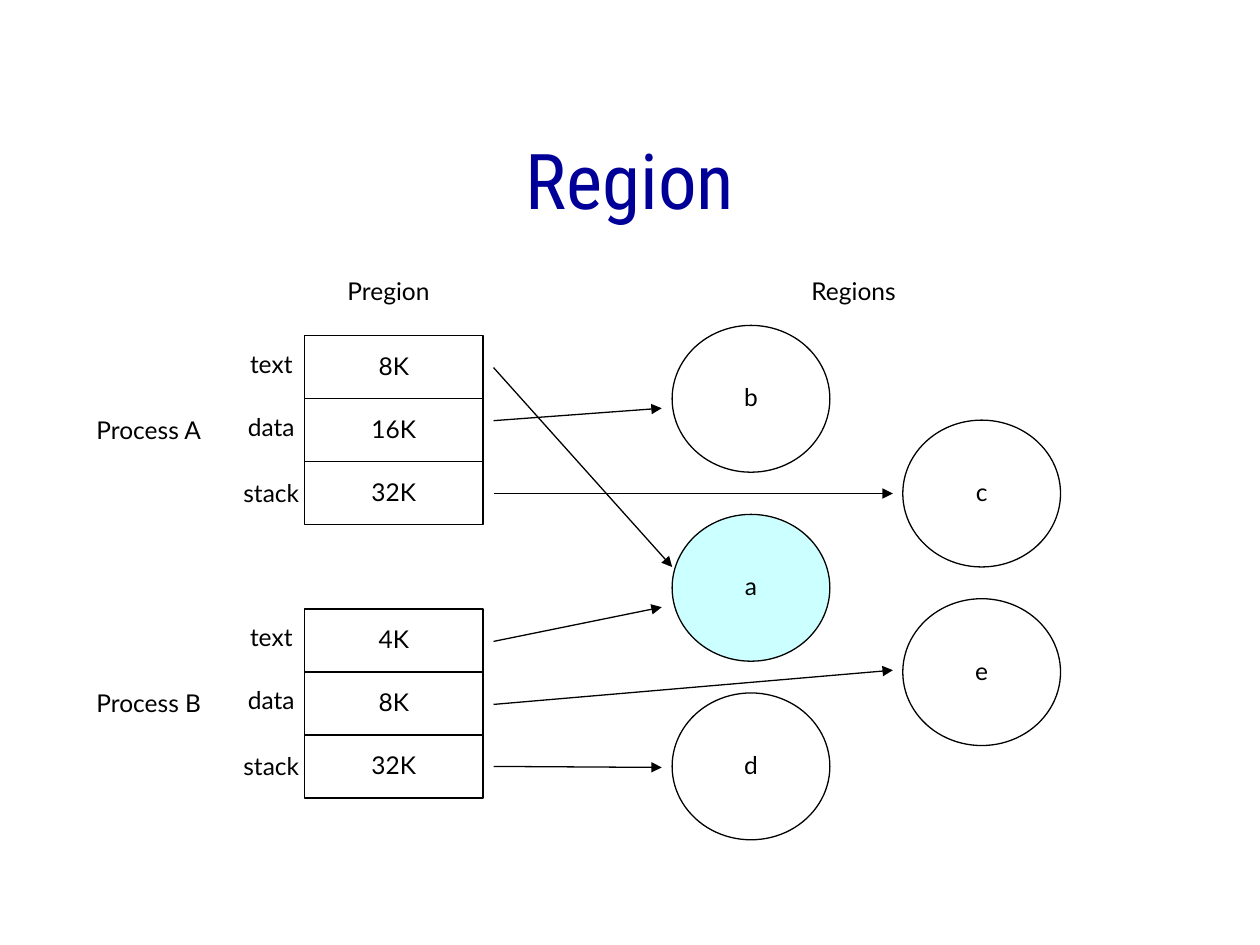
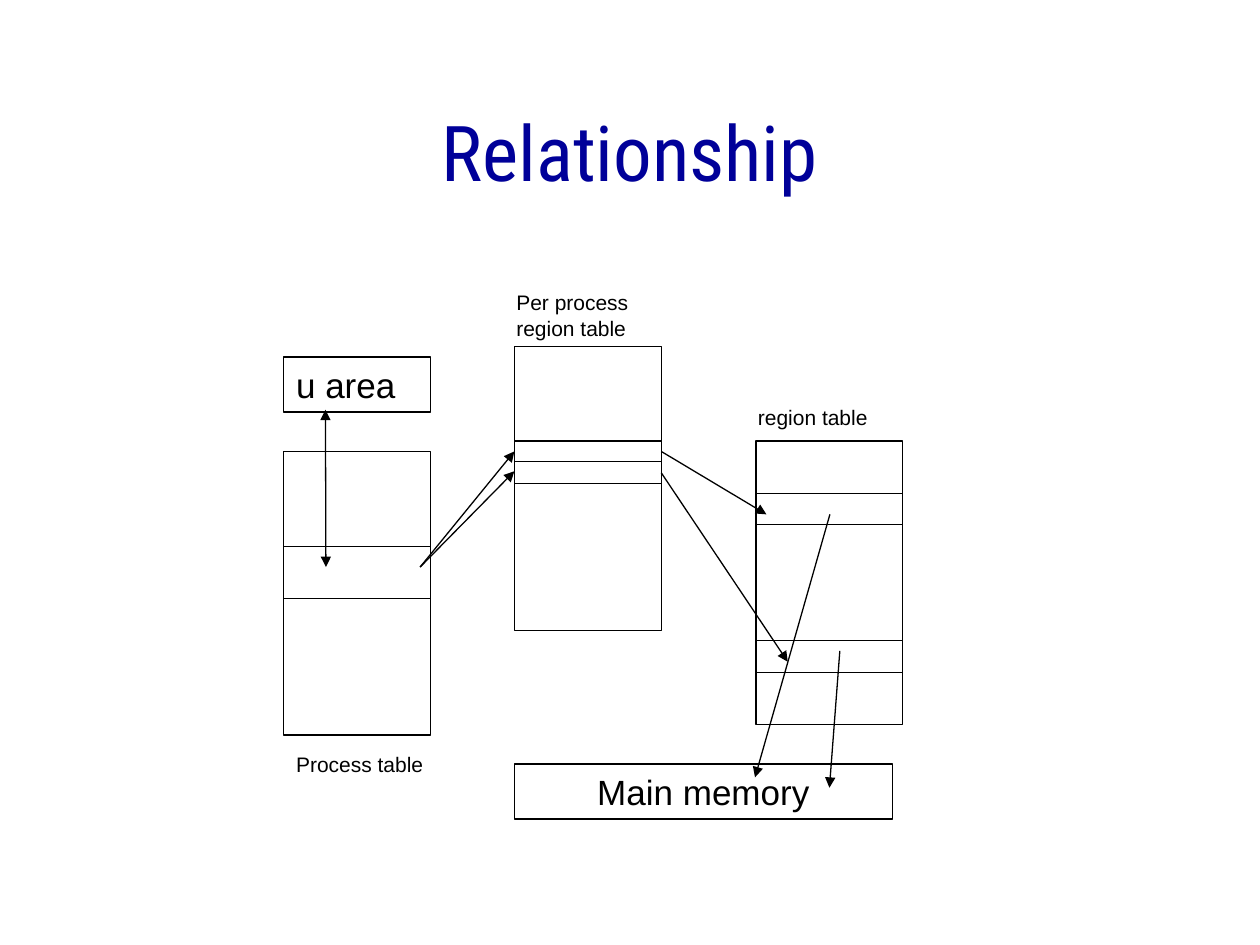
import lxml.etree
import pptx
import pptx.dml.color
import pptx.enum.shapes
import pptx.enum.text
import pptx.oxml.ns
import pptx.util

Cm = pptx.util.Cm
Pt = pptx.util.Pt
RGBColor = pptx.dml.color.RGBColor
SHAPE = pptx.enum.shapes.MSO_SHAPE
ALIGN = pptx.enum.text.PP_ALIGN
ANCHOR = pptx.enum.text.MSO_ANCHOR

BLACK = RGBColor(0x00, 0x00, 0x00)
WHITE = RGBColor(0xFF, 0xFF, 0xFF)
NAVY = RGBColor(0x00, 0x00, 0x99)
AQUA = RGBColor(0xCC, 0xFF, 0xFF)

# Text styles: font, paragraph and frame values
TITLE = {
    "font": {"name": "Roboto Condensed", "size": Pt(44)},
    "color": NAVY,
    "para": {"alignment": ALIGN.CENTER},
    "frame": {"word_wrap": True, "vertical_anchor": ANCHOR.MIDDLE},
}
TIGHT = {**TITLE, "para": {"alignment": ALIGN.CENTER, "line_spacing": 0.95}}
LABEL = {
    "font": {"name": "Lato", "size": Pt(14)},
    "color": BLACK,
    "para": {"alignment": ALIGN.CENTER, "line_spacing": 0.9},
    "frame": {"word_wrap": False, "vertical_anchor": ANCHOR.TOP},
}
CELL = {**LABEL, "frame": {"word_wrap": False, "vertical_anchor": ANCHOR.MIDDLE}}
NOTE = {
    "font": {"name": "Arial", "size": Pt(12)},
    "color": BLACK,
    "para": {"alignment": ALIGN.LEFT},
    "frame": {"word_wrap": True, "vertical_anchor": ANCHOR.TOP},
}
BIG = {**NOTE, "font": {"name": "Arial", "size": Pt(20)}}
MID = {**BIG, "para": {"alignment": ALIGN.CENTER}}

# Region slide, all lengths in cm
HEADS = [("Pregion", 6.68, 2.31), ("Regions", 16.03, 2.36)]
HEAD_TOP = 5.51
PROCS = [
    ("Process A", 6.77, ["8K", "16K", "32K"]),
    ("Process B", 12.28, ["4K", "8K", "32K"]),
]
PARTS = [("text", 1.4, 0.21), ("data", 1.55, 0.21), ("stack", 1.7, 0.26)]
CELL_X, CELL_W, CELL_H = 6.14, 3.6, 1.27
PART_MID, PROC_X, PROC_W, PROC_DY = 5.47, 1.63, 2.74, 1.53
LINE_H = 0.79
NEAR, FAR = 13.55, 18.2
DISCS = [
    ("b", NEAR, 6.56, WHITE),
    ("c", FAR, 8.47, WHITE),
    ("a", NEAR, 10.37, AQUA),
    ("e", FAR, 12.07, WHITE),
    ("d", NEAR, 13.97, WHITE),
]
DISC_W, DISC_H = 3.18, 2.96
START = 9.95
MAPS = [
    (12.93, 13.34, 12.24),
    (14.2, 18, 13.51),
    (15.45, 13.34, 15.47),
    (8.48, 13.34, 8.23),
    (9.95, 18, 9.95),
    (7.41, 13.55, 11.43),
]

# Relationship slide
TABLE_W, TABLE_H = 2.96, 5.72
TABLES = [
    (5.72, 9.1, [11.01, 12.07]),
    (10.37, 6.99, [8.89, 9.31, 9.74]),
    (15.24, 8.89, [9.95, 10.58, 12.91, 13.55]),
]
BOXES = [
    ("u area", (5.72, 7.2, 2.96, 1.11), BIG),
    ("Main memory", (10.37, 15.4, 7.62, 1.11), MID),
]
NOTES = [
    ("Process table", (5.72, 15.03, 3.6, 0.76)),
    ("Per process region table", (10.16, 5.72, 3.6, 1.28)),
    ("region table", (15.03, 8.04, 3.6, 0.76)),
]
LINKS = [
    (8.47, 11.43, 10.37, 9.1),
    (8.47, 11.43, 10.37, 9.5),
    (13.33, 9.1, 15.45, 10.37),
    (13.33, 9.53, 15.88, 13.34),
    (16.73, 10.37, 15.22, 15.67),
    (16.93, 13.12, 16.72, 15.88),
]
BOTH = (6.56, 8.26, 6.57, 11.43)


def apply(item, values):
    for name, value in values.items():
        setattr(item, name, value)


def fill_text(shape, text, style):
    frame = shape.text_frame
    apply(frame, style["frame"])
    para = frame.paragraphs[0]
    apply(para, style["para"])
    run = para.add_run()
    run.text = text
    apply(run.font, style["font"])
    run.font.color.rgb = style["color"]


def write(slide, text, place, style):
    """Add a text box."""
    fill_text(slide.shapes.add_textbox(*map(Cm, place)), text, style)


def ink(line):
    line.color.rgb = BLACK
    line.width = Pt(0.75)


def block(slide, place, kind=SHAPE.RECTANGLE, fill=None, text="", style=None):
    """Add an outlined shape, see-through when it has no fill."""
    shape = slide.shapes.add_shape(kind, *map(Cm, place))
    shape.shadow.inherit = False
    if fill is None:
        shape.fill.background()
    else:
        shape.fill.solid()
        shape.fill.fore_color.rgb = fill
    ink(shape.line)
    if text:
        fill_text(shape, text, style)


def draw(slide, ends, tips=()):
    """Add a line with arrowheads at the named tips."""
    kind = pptx.enum.shapes.MSO_CONNECTOR.STRAIGHT
    line = slide.shapes.add_connector(kind, *map(Cm, ends))
    ink(line.line)
    qn = pptx.oxml.ns.qn
    props = line.element.spPr
    for tip in tips:
        lxml.etree.SubElement(props.find(qn("a:ln")), qn(tip), type="triangle")
    lxml.etree.SubElement(props, qn("a:effectLst"))


def region(slide):
    write(slide, "Region", (1.9, 2.54, 21.6, 2.13), TITLE)
    for name, top, sizes in PROCS:
        for row, (size, (part, wide, drop)) in enumerate(zip(sizes, PARTS)):
            y = top + row * CELL_H
            block(slide, (CELL_X, y, CELL_W, CELL_H), fill=WHITE, text=size, style=CELL)
            write(slide, part, (PART_MID - wide / 2, y + drop, wide, LINE_H), LABEL)
        write(slide, name, (PROC_X, top + PROC_DY, PROC_W, LINE_H), LABEL)
    for name, x, y, fill in DISCS:
        block(slide, (x, y, DISC_W, DISC_H), SHAPE.OVAL, fill, name, CELL)
    for y, *end in MAPS:
        draw(slide, (START, y, *end), ["a:tailEnd"])
    for text, x, wide in HEADS:
        write(slide, text, (x, HEAD_TOP, wide, LINE_H), LABEL)


def relation(slide):
    write(slide, "Relationship", (1.9, 1.6, 21.6, 3.05), TIGHT)
    for x, top, rules in TABLES:
        block(slide, (x, top, TABLE_W, TABLE_H))
        for y in rules:
            draw(slide, (x, y, x + TABLE_W, y))
    for text, place, style in BOXES:
        block(slide, place, text=text, style=style)
    for ends in LINKS:
        draw(slide, ends, ["a:tailEnd"])
    draw(slide, BOTH, ["a:headEnd", "a:tailEnd"])
    for text, place in NOTES:
        write(slide, text, place, NOTE)


def main():
    deck = pptx.Presentation()
    apply(deck, {"slide_width": Cm(25.4), "slide_height": Cm(19.05)})
    for build in (region, relation):
        build(deck.slides.add_slide(deck.slide_layouts[6]))
    deck.save("out.pptx")


if __name__ == "__main__":
    main()
